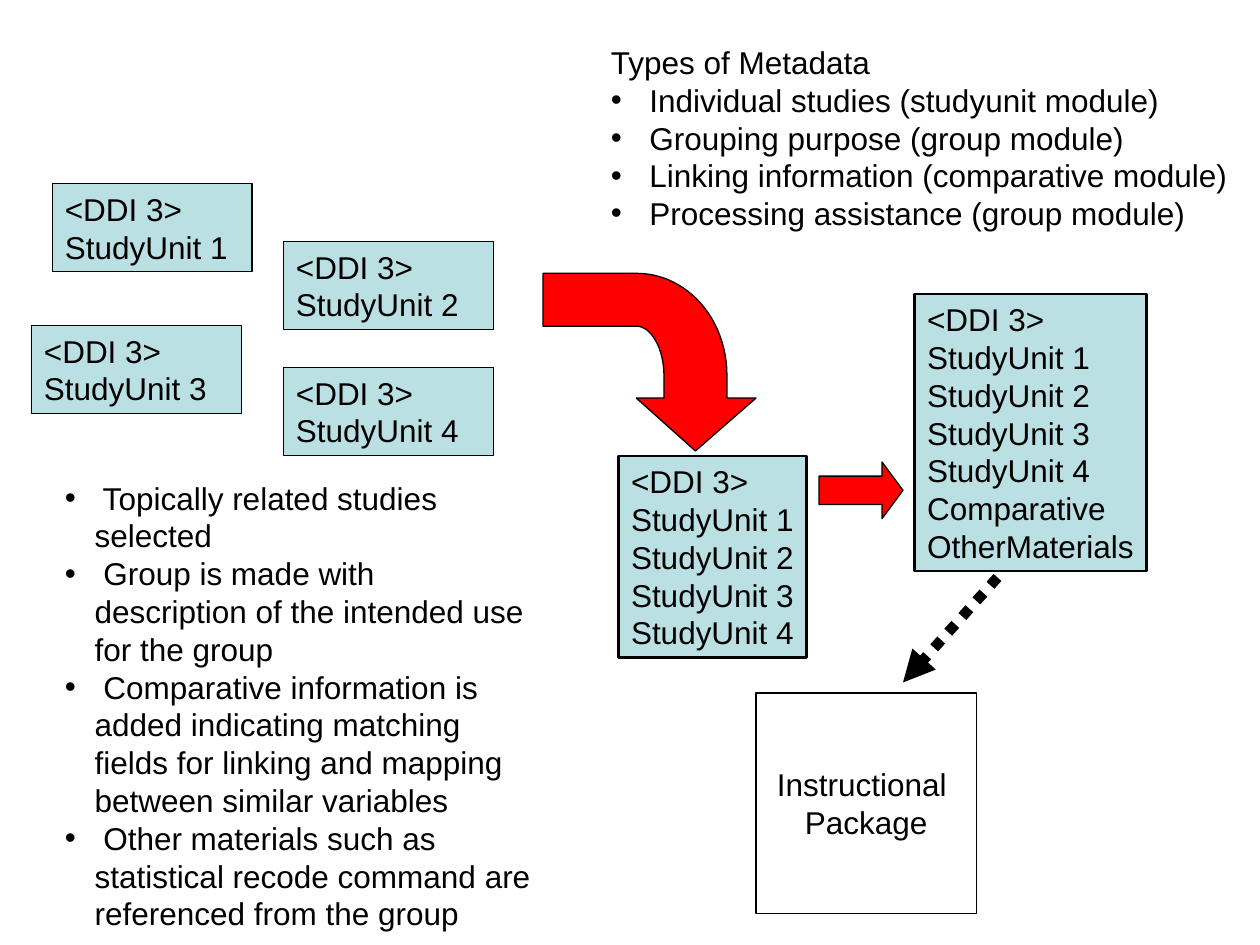
from lxml import etree
from pptx import Presentation
from pptx.dml.color import RGBColor
from pptx.enum import dml, shapes, text
from pptx.oxml import ns
from pptx.util import Pt

BLACK, WHITE, TEAL, RED = "000000", "FFFFFF", "BBE0E3", "FF0000"
HANGING = 17
UNITS = [f"StudyUnit {n}" for n in range(1, 5)]


def color(value):
    return RGBColor.from_string(value)


def add_xml(parent, tag, **attrs):
    return etree.SubElement(parent, ns.qn(tag), attrs)


def add_bullet(p):
    pPr = p._p.get_or_add_pPr()
    pPr.set("marL", str(Pt(HANGING)))
    pPr.set("indent", str(-Pt(HANGING)))
    add_xml(add_xml(pPr, "a:buClr"), "a:srgbClr", val=BLACK)
    add_xml(pPr, "a:buFont", typeface="Arial")
    add_xml(pPr, "a:buChar", char="•")


def write(tf, heading, bullets=(), align=text.PP_ALIGN.LEFT, wrap=True):
    tf.word_wrap = wrap
    lines = [(s, False) for s in heading] + [(f" {s}", True) for s in bullets]
    for i, (line, bulleted) in enumerate(lines):
        p = tf.paragraphs[0] if i == 0 else tf.add_paragraph()
        p.text = line
        p.alignment = align
        p.line_spacing = Pt(21.6)
        if bulleted:
            add_bullet(p)
        p.font.size = Pt(18)
        p.font.name = "Arial"
        p.font.color.rgb = color(BLACK)


def paint(sp, fill, weight=0.75):
    sp.shadow.inherit = False
    sp.fill.solid()
    sp.fill.fore_color.rgb = color(fill)
    sp.line.color.rgb = color(BLACK)
    sp.line.width = Pt(weight)


def add_box(s, x, y, w, h, lines, fill=TEAL, weight=0.75, wrap=True,
            align=text.PP_ALIGN.LEFT, anchor=text.MSO_ANCHOR.TOP):
    sp = s.shapes.add_shape(shapes.MSO_SHAPE.RECTANGLE, Pt(x), Pt(y), Pt(w), Pt(h))
    paint(sp, fill, weight)
    sp.text_frame.vertical_anchor = anchor
    write(sp.text_frame, lines, align=align, wrap=wrap)


def add_notes(s, x, y, w, h, heading, bullets):
    tb = s.shapes.add_textbox(Pt(x), Pt(y), Pt(w), Pt(h))
    write(tb.text_frame, heading, bullets)


def add_studies(s, x, y):
    places = [(12, 0, 114), (144, 33, 120), (0, 81, 120), (144, 105, 120)]
    for unit, (dx, dy, w) in zip(UNITS, places):
        add_box(s, x + dx, y + dy, w, 50.4, ["<DDI 3>", unit])


def curve(a, b, c, d, steps=24):
    points = []
    for i in range(1, steps + 1):
        t = i / steps
        weights = ((1 - t) ** 3, 3 * t * (1 - t) ** 2, 3 * t * t * (1 - t), t ** 3)
        points.append(tuple(sum(k * v for k, v in zip(weights, axis))
                            for axis in zip(a, b, c, d)))
    return points


def add_bent_arrow(s, x, y, w, h):
    tail, bend, neck = 30.2, 53.3, 71.3
    inner, outer, turn = 69.1, 105.1, 58.3
    points = [(bend, 0)]
    points += curve((bend, 0), (82.1, 0), (outer, 25.9), (outer, turn))
    points += [(outer, neck), (w, neck), (87.1, h), (bend, neck), (inner, neck), (inner, turn)]
    points += curve((inner, turn), (inner, 43.2), (61.9, tail), (bend, tail))
    points.append((0, tail))
    fb = s.shapes.build_freeform(0, 0, scale=Pt(1) / 100)
    fb.add_line_segments([(px * 100, py * 100) for px, py in points], close=True)
    paint(fb.convert_to_shape(Pt(x), Pt(y)), RED)


def add_right_arrow(s, x, y, w, h):
    sp = s.shapes.add_shape(shapes.MSO_SHAPE.RIGHT_ARROW, Pt(x), Pt(y), Pt(w), Pt(h))
    sp.adjustments[1] = 0.37
    paint(sp, RED)


def add_dotted_arrow(s, x, y, w, h):
    cxn = s.shapes.add_connector(shapes.MSO_CONNECTOR.STRAIGHT,
                                 Pt(x + w), Pt(y), Pt(x), Pt(y + h))
    cxn.line.color.rgb = color(BLACK)
    cxn.line.width = Pt(6)
    cxn.line.dash_style = dml.MSO_LINE.ROUND_DOT
    add_xml(cxn.line._get_or_add_ln(), "a:tailEnd", type="triangle")
    add_xml(cxn._element.spPr, "a:effectLst")


def add_flow(s, x, y):
    add_bent_arrow(s, x, y, 121.7, 101.5)
    add_box(s, x + 43.2, y + 104.4, 107.3, 115.2, ["<DDI 3>", *UNITS],
            weight=1.5, wrap=False)
    add_right_arrow(s, x + 157.7, y + 107.8, 48, 32.4)
    add_box(s, x + 212.4, y + 11.8, 132.5, 158.4,
            ["<DDI 3>", *UNITS, "Comparative", "OtherMaterials"],
            weight=1.5, wrap=False)
    add_dotted_arrow(s, x + 205.7, y + 173.8, 54, 60)
    add_box(s, x + 121.7, y + 239.8, 126, 126, ["Instructional ", "Package"],
            fill=WHITE, wrap=False, align=text.PP_ALIGN.CENTER,
            anchor=text.MSO_ANCHOR.MIDDLE)


def main():
    prs = Presentation()
    prs.slide_width, prs.slide_height = Pt(720), Pt(540)
    s = prs.slides.add_slide(prs.slide_layouts[6])
    add_notes(s, 342, 21, 369.4, 115.2, ["Types of Metadata"], [
        "Individual studies (studyunit module)",
        "Grouping purpose (group module)",
        "Linking information (comparative module)",
        "Processing assistance (group module)",
    ])
    add_studies(s, 18, 105)
    add_flow(s, 310.3, 156.2)
    add_notes(s, 30, 270, 283, 244.8, [], [
        "Topically related studies selected",
        "Group is made with description of the intended use for the group",
        "Comparative information is added indicating matching fields "
        "for linking and mapping between similar variables",
        "Other materials such as statistical recode command are referenced from the group",
    ])
    prs.save("out.pptx")


if __name__ == "__main__":
    main()
